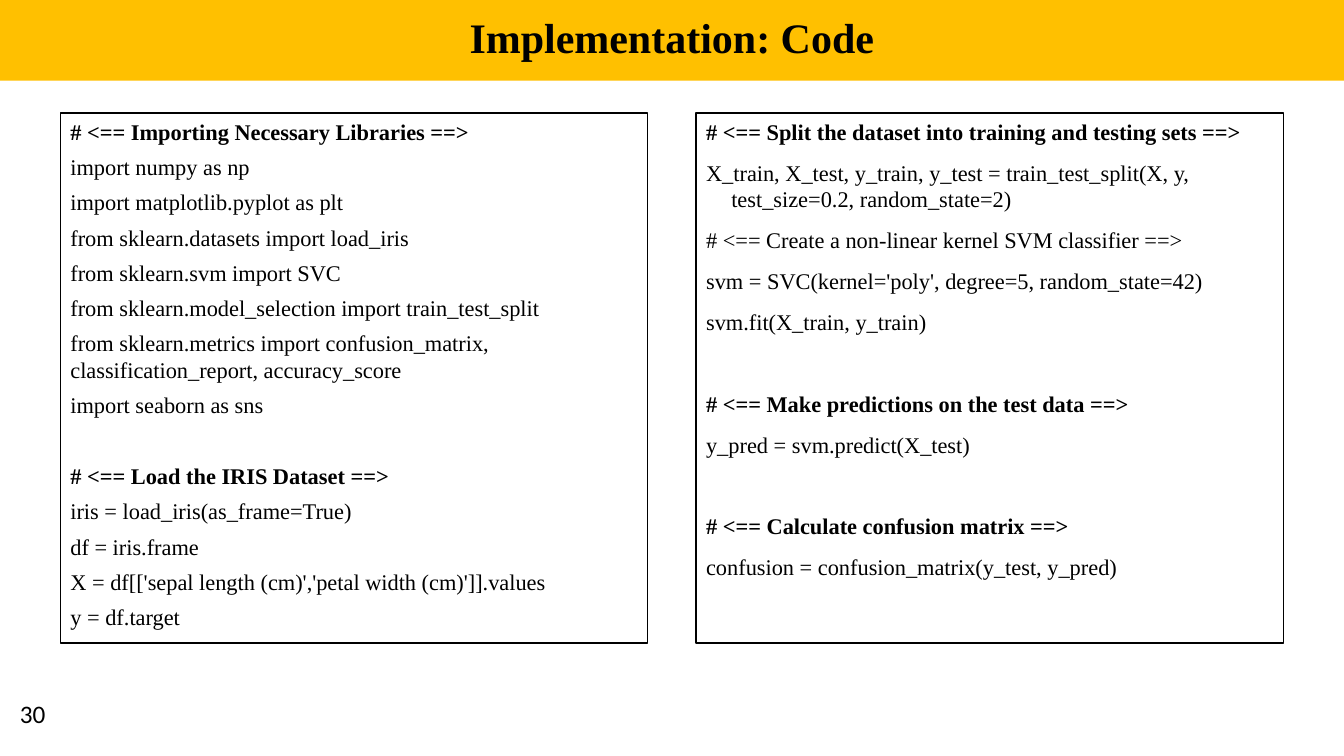
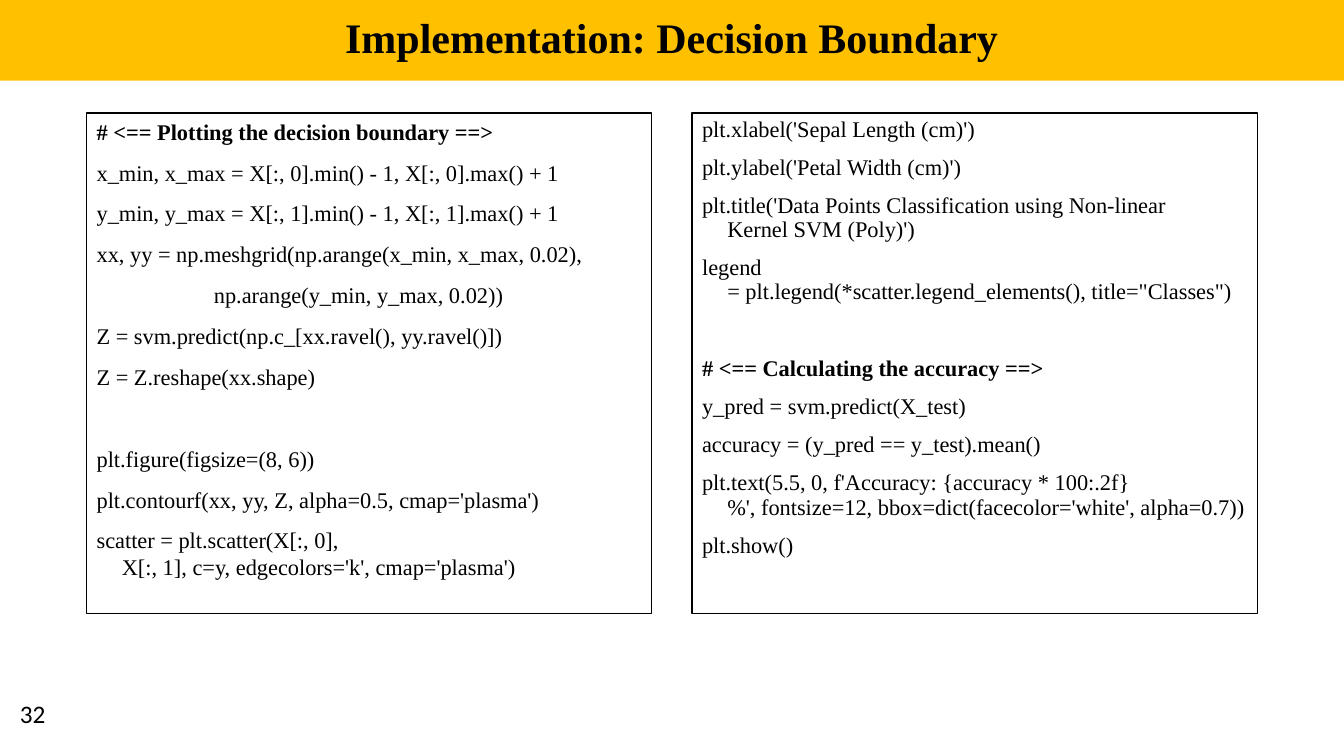
from pptx import Presentation
from pptx.dml.color import RGBColor
from pptx.enum.shapes import MSO_SHAPE
from pptx.enum.text import MSO_ANCHOR, PP_ALIGN
from pptx.util import Inches, Pt

WIDE, HIGH = Inches(13.33), Inches(7.5)
BLACK, WHITE, GOLD = "000000", "FFFFFF", "FFC000"

SERIF = "Times New Roman"
TITLE = {"name": SERIF, "size": Pt(30), "bold": True}
CODE = {"name": SERIF, "size": Pt(16)}
FOOT = {"name": "Calibri", "size": Pt(18)}
LINE = 19.2  # points taken by one line of code

# A panel is a list of blocks, a block a list of lines;
# a tuple is one line of code with fixed breaks.
SLIDES = [
    {
        "title": "Implementation: Code",
        "page": "30",
        "side": 4.5, "gap": 3.6, "height": 70.13,
        "panels": [
            {
                "before": 6, "hang": 0, "pitch": 1,
                "blocks": [
                    ["# <== Importing Necessary Libraries ==>",
                     "import numpy as np",
                     "import matplotlib.pyplot as plt",
                     "from sklearn.datasets import load_iris",
                     "from sklearn.svm import SVC",
                     "from sklearn.model_selection import train_test_split",
                     "from sklearn.metrics import confusion_matrix, "
                     "classification_report, accuracy_score",
                     "import seaborn as sns"],
                    ["# <== Load the IRIS Dataset ==>",
                     "iris = load_iris(as_frame=True)",
                     "df = iris.frame",
                     "X = df[['sepal length (cm)','petal width (cm)']].values",
                     "y = df.target"],
                ],
            },
            {
                "before": 10, "hang": 0.25, "pitch": 1,
                "blocks": [
                    ["# <== Split the dataset into training and testing sets ==>",
                     "X_train, X_test, y_train, y_test = train_test_split(X, y, "
                     "test_size=0.2, random_state=2)",
                     "# <== Create a non-linear kernel SVM classifier ==>",
                     "svm = SVC(kernel='poly', degree=5, random_state=42)",
                     "svm.fit(X_train, y_train)"],
                    ["# <== Make predictions on the test data ==>",
                     "y_pred = svm.predict(X_test)"],
                    ["# <== Calculate confusion matrix ==>",
                     "confusion = confusion_matrix(y_test, y_pred)"],
                ],
            },
        ],
    },
    {
        "title": "Implementation: Decision Boundary",
        "page": "32",
        "side": 6.45, "gap": 3, "height": 66.27,
        "panels": [
            {
                "before": 10, "hang": 0.25, "pitch": 1,
                "blocks": [
                    ["# <== Plotting the decision boundary ==>",
                     "x_min, x_max = X[:, 0].min() - 1, X[:, 0].max() + 1",
                     "y_min, y_max = X[:, 1].min() - 1, X[:, 1].max() + 1",
                     "xx, yy = np.meshgrid(np.arange(x_min, x_max, 0.02),",
                     "                     np.arange(y_min, y_max, 0.02))",
                     "Z = svm.predict(np.c_[xx.ravel(), yy.ravel()])",
                     "Z = Z.reshape(xx.shape)"],
                    ["plt.figure(figsize=(8, 6))",
                     "plt.contourf(xx, yy, Z, alpha=0.5, cmap='plasma')",
                     ("scatter = plt.scatter(X[:, 0],",
                      "X[:, 1], c=y, edgecolors='k', cmap='plasma')")],
                ],
            },
            {
                "before": 10, "hang": 0.25, "pitch": 0.9,
                "blocks": [
                    ["plt.xlabel('Sepal Length (cm)')",
                     "plt.ylabel('Petal Width (cm)')",
                     ("plt.title('Data Points Classification using Non-linear",
                      "Kernel SVM (Poly)')"),
                     ("legend",
                      "= plt.legend(*scatter.legend_elements(), title=\"Classes\")")],
                    ["# <== Calculating the accuracy ==>",
                     "y_pred = svm.predict(X_test)",
                     "accuracy = (y_pred == y_test).mean()",
                     ("plt.text(5.5, 0, f'Accuracy: {accuracy * 100:.2f}",
                      "%', fontsize=12, bbox=dict(facecolor='white', alpha=0.7))"),
                     "plt.show()"],
                ],
            },
        ],
    },
]


def tint(code):
    return RGBColor.from_string(code)


def share(left, top, width, height):
    """Turn percentages of the slide into lengths."""
    return [int(part * size / 100) for part, size in
            zip((left, top, width, height), (WIDE, HIGH, WIDE, HIGH))]


def apply(item, form):
    for key, value in form.items():
        setattr(item, key, value)


def write(para, lines, form):
    """Fill a paragraph, breaking between the given lines."""
    for index, line in enumerate(lines):
        if index:
            para.add_line_break()
        run = para.add_run()
        run.text = line
        apply(run.font, form)
        run.font.color.rgb = tint(BLACK)


def block(slide, place, fill, edge=None):
    shape = slide.shapes.add_shape(MSO_SHAPE.RECTANGLE, *share(*place))
    shape.shadow.inherit = False
    shape.fill.solid()
    shape.fill.fore_color.rgb = tint(fill)
    if edge:
        shape.line.color.rgb = tint(edge)
        shape.line.width = Pt(1)
    else:
        shape.line.fill.background()
    shape.text_frame.word_wrap = True
    return shape.text_frame


def header(slide, text):
    frame = block(slide, (0, 0, 100, 10.67), GOLD)
    frame.vertical_anchor = MSO_ANCHOR.MIDDLE
    para = frame.paragraphs[0]
    apply(para, {"alignment": PP_ALIGN.CENTER, "line_spacing": 0.9})
    write(para, [text], TITLE)


def footer(slide, text):
    box = slide.shapes.add_textbox(*share(0.75, 91.73, 22.5, 5.33))
    box.text_frame.word_wrap = True
    write(box.text_frame.paragraphs[0], [text], FOOT)


def panel(slide, place, data):
    frame = block(slide, place, WHITE, BLACK)
    frame.vertical_anchor = MSO_ANCHOR.TOP
    before, pitch = data["before"], data["pitch"]
    hang = Inches(data["hang"])
    para = None
    for group in data["blocks"]:
        for index, line in enumerate(group):
            if para is None:
                para, space = frame.paragraphs[0], 0
            else:
                para = frame.add_paragraph()
                space = before if index else 2 * before + LINE * pitch
            apply(para, {"alignment": PP_ALIGN.LEFT, "line_spacing": pitch,
                         "space_before": Pt(space)})
            props = para._p.get_or_add_pPr()
            props.set("marL", str(hang))
            props.set("indent", str(-hang))
            lines = [line] if isinstance(line, str) else line
            bold = index == 0 and lines[0].startswith("#")
            write(para, lines, {**CODE, "bold": bold})


def main():
    deck = Presentation()
    apply(deck, {"slide_width": WIDE, "slide_height": HIGH})
    for data in SLIDES:
        slide = deck.slides.add_slide(deck.slide_layouts[6])
        header(slide, data["title"])
        side, gap = data["side"], data["gap"]
        width = (100 - 2 * side - gap) / 2
        for col, part in enumerate(data["panels"]):
            left = side + col * (width + gap)
            panel(slide, (left, 14.93, width, data["height"]), part)
        footer(slide, data["page"])
    deck.save("out.pptx")


if __name__ == "__main__":
    main()
